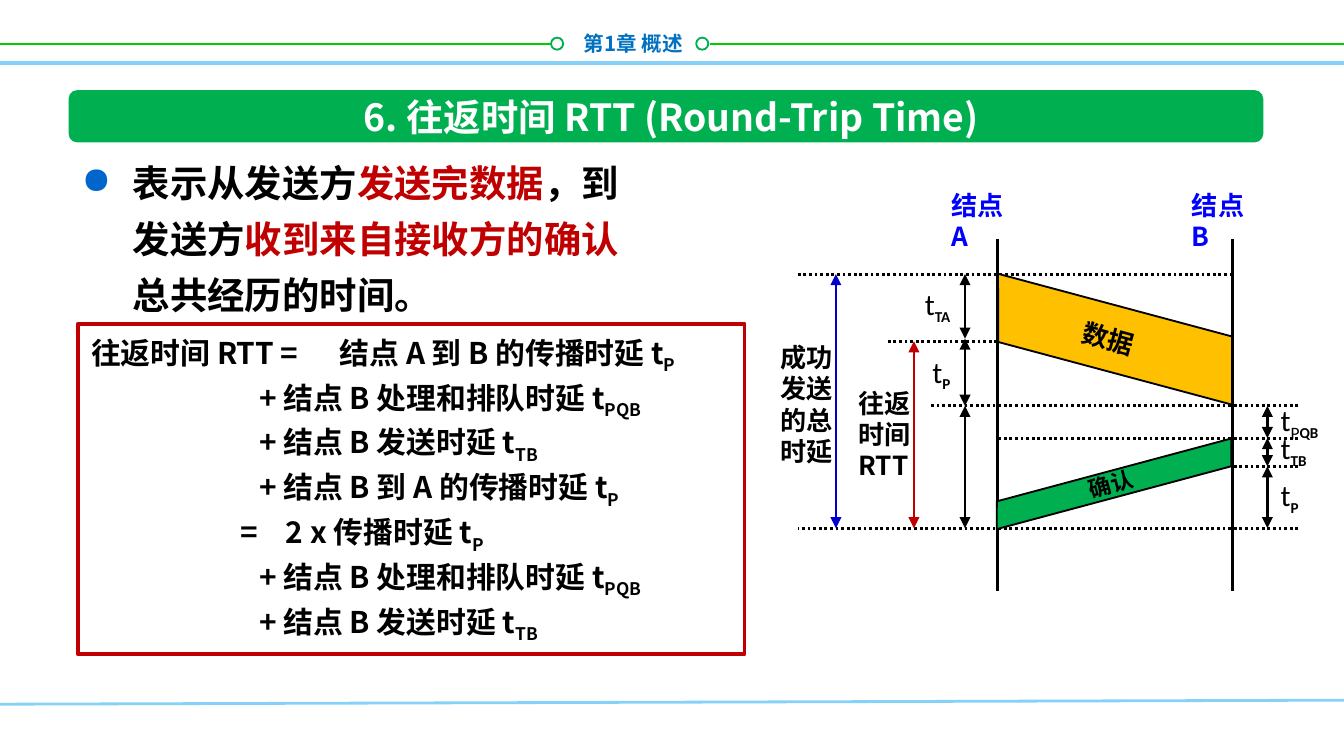
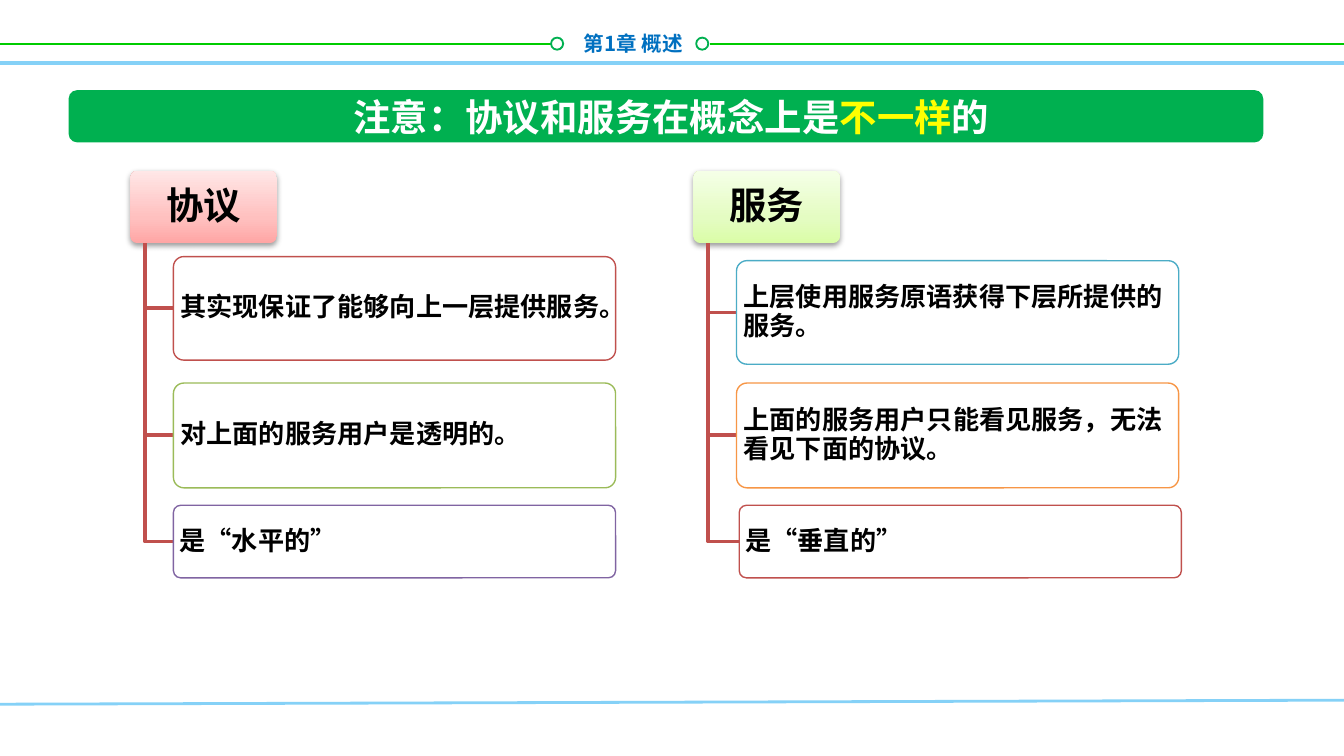
from copy import deepcopy
from typing import NamedTuple

from lxml.etree import SubElement
from pptx import Presentation
from pptx.dml.color import RGBColor
from pptx.enum.dml import MSO_LINE
from pptx.enum.shapes import MSO_CONNECTOR as Link, MSO_SHAPE as Preset
from pptx.enum.text import MSO_ANCHOR as Anchor, PP_ALIGN as Align
from pptx.oxml.ns import qn
from pptx.util import Inches, Pt

BLACK = RGBColor(0x00, 0x00, 0x00)
WHITE = RGBColor(0xFF, 0xFF, 0xFF)
GREEN = RGBColor(0x00, 0xB0, 0x50)
RULE_GREEN = RGBColor(0x00, 0xCC, 0x00)
RULE_BLUE = RGBColor(0x85, 0xD1, 0xF7)
CHAPTER_BLUE = RGBColor(0x00, 0x70, 0xC0)
BULLET_BLUE = RGBColor(0x00, 0x66, 0xCC)
NODE_BLUE = RGBColor(0x00, 0x00, 0xFF)
TOTAL_BLUE = RGBColor(0x00, 0x00, 0xCC)
RED = RGBColor(0xC0, 0x00, 0x00)
YELLOW = RGBColor(0xFF, 0xFF, 0x00)
AMBER = RGBColor(0xFF, 0xC0, 0x00)
BRICK = RGBColor(0xC0, 0x50, 0x4D)
OLIVE = RGBColor(0x9B, 0xBB, 0x59)
PURPLE = RGBColor(0x80, 0x64, 0xA2)
TEAL = RGBColor(0x4B, 0xAC, 0xC6)
ORANGE = RGBColor(0xF7, 0x96, 0x46)
PINKS = (RGBColor(0xFF, 0xA6, 0xA5), RGBColor(0xFF, 0xC0, 0xBF), RGBColor(0xFF, 0xE7, 0xE7))
LIMES = (RGBColor(0xDA, 0xFD, 0xA7), RGBColor(0xE4, 0xFC, 0xC2), RGBColor(0xF5, 0xFF, 0xE7))

SANS = "Noto Sans CJK SC"
CELL = Inches(0.1)  # the grid has 100 columns and 56.25 rows


class Run(NamedTuple):
    text: str
    size: float = 14
    color: RGBColor = BLACK
    bold: bool = True
    font: str = SANS
    lowered: bool = False


def cells(*counts):
    return [round(count * CELL) for count in counts]


class Deck:
    def __init__(self):
        self.presentation = Presentation()
        self.presentation.slide_width = 100 * CELL
        self.presentation.slide_height = 100 * CELL * 9 // 16

    def new_slide(self, title):
        self.slide = self.presentation.slides.add_slide(self.presentation.slide_layouts[6])
        self.line((0, 3.3), (41, 3.3), RULE_GREEN, 1)
        self.line((52.8, 3.3), (100, 3.3), RULE_GREEN, 1)
        self.text((38.4, 1.8, 13.4, 2.8), [[Run("第1章 概述", 11, CHAPTER_BLUE)]], align=Align.RIGHT)
        for column in (41, 51.8):
            self.shape(Preset.OVAL, (column, 2.8, 0.9, 0.9), WHITE, GREEN, 1)
        self.line((0, 52.4), (100, 52.1), RULE_BLUE, 1.5)
        self.line((0, 4.7), (100, 4.7), RULE_BLUE, 2)
        self.shape(Preset.ROUNDED_RECTANGLE, (5.1, 6.7, 88.9, 3.9), GREEN, adjust=0.17)
        self.text((13.7, 6.7, 72.5, 3.9), [title], align=Align.CENTER, anchor=Anchor.MIDDLE)

    def line(self, start, end, color=BLACK, width=1.5, dotted=False, arrows=False):
        connector = self.slide.shapes.add_connector(Link.STRAIGHT, *cells(*start, *end))
        connector.line.color.rgb = color
        connector.line.width = Pt(width)
        if dotted:
            connector.line.dash_style = MSO_LINE.ROUND_DOT
        if arrows:
            outline = connector.element.spPr.find(qn("a:ln"))
            for tip in ("a:headEnd", "a:tailEnd"):
                SubElement(outline, qn(tip), type="triangle")
        SubElement(connector.element.spPr, qn("a:effectLst"))

    def shape(self, preset, box, fill, line=None, width=1, adjust=None, alpha=None):
        shape = self.slide.shapes.add_shape(preset, *cells(*box))
        shape.shadow.inherit = False
        shape.fill.solid()
        shape.fill.fore_color.rgb = fill
        if alpha is not None:
            color = shape.element.spPr.find(".//" + qn("a:srgbClr"))
            SubElement(color, qn("a:alpha"), val=str(alpha * 1000))
        if adjust is not None:
            shape.adjustments[0] = adjust
        if line is None:
            shape.line.fill.background()
        else:
            shape.line.color.rgb = line
            shape.line.width = Pt(width)
        return shape

    def parallelogram(self, box, fill, rotation, flips):
        shape = self.shape(Preset.PARALLELOGRAM, box, fill, BLACK, adjust=0.27)
        shape.rotation = rotation
        for flip in flips:
            shape.element.spPr.find(qn("a:xfrm")).set(flip, "1")

    def elbow(self, column, top, bottom, right):
        left, first, last, end = cells(column, top, bottom, right)
        builder = self.slide.shapes.build_freeform(left, first)
        builder.add_line_segments([(left, last), (end, last)], close=False)
        shape = builder.convert_to_shape()
        shape.shadow.inherit = False
        shape.fill.background()
        shape.line.color.rgb = BRICK
        shape.line.width = Pt(2)

    def raised_tile(self, box, colors):
        """A rounded tile with a vertical gradient and a soft shadow below."""
        shape = self.shape(Preset.ROUNDED_RECTANGLE, box, colors[0], adjust=0.1)
        shape.fill.gradient()
        shape.fill.gradient_angle = 90
        stops = shape.element.spPr.find(".//" + qn("a:gsLst"))
        stops.insert(1, deepcopy(stops[0]))
        for stop, color, position in zip(shape.fill.gradient_stops, colors, (0, 0.35, 1)):
            stop.color.rgb = color
            stop.position = position
        effects = shape.element.spPr.find(qn("a:effectLst"))
        shadow = SubElement(effects, qn("a:outerShdw"), blurRad=str(int(Pt(3.1))),
                            dist=str(int(Pt(1.6))), dir="5400000", rotWithShape="0")
        color = SubElement(shadow, qn("a:srgbClr"), val=str(BLACK))
        SubElement(color, qn("a:alpha"), val="38000")
        return shape

    def text(self, box, paragraphs, wrap=True, rotation=0, **layout):
        shape = self.slide.shapes.add_textbox(*cells(*box))
        shape.rotation = rotation
        return self.fill_text(shape, paragraphs, wrap, **layout)

    def fill_text(self, shape, paragraphs, wrap=True, align=Align.LEFT, anchor=Anchor.TOP,
                  spacing=None, insets=(1, 0.5)):
        frame = shape.text_frame
        frame.word_wrap = wrap
        frame.vertical_anchor = anchor
        frame.margin_left = frame.margin_right = cells(insets[0])[0]
        frame.margin_top = frame.margin_bottom = cells(insets[1])[0]
        for index, runs in enumerate(paragraphs):
            paragraph = frame.add_paragraph() if index else frame.paragraphs[0]
            paragraph.alignment = align
            if spacing is not None:
                paragraph.line_spacing = spacing
            for run in runs:
                self.add_run(paragraph, run)
        return frame

    def add_run(self, paragraph, style):
        run = paragraph.add_run()
        run.text = style.text
        run.font.size = Pt(style.size)
        run.font.bold = style.bold
        run.font.color.rgb = style.color
        run.font.name = style.font
        properties = run._r.get_or_add_rPr()
        SubElement(properties, qn("a:ea"), typeface=style.font)
        if style.lowered:
            properties.set("baseline", "-25000")

    def bullet(self, paragraph, indent):
        properties = paragraph._p.get_or_add_pPr()
        width = cells(indent)[0]
        properties.set("marL", str(width))
        properties.set("indent", str(-width))
        color = SubElement(properties, qn("a:buClr"))
        SubElement(color, qn("a:srgbClr"), val=str(BULLET_BLUE))
        SubElement(properties, qn("a:buChar"), char="●")

    def tab_stops(self, paragraph, columns):
        stops = SubElement(paragraph._p.get_or_add_pPr(), qn("a:tabLst"))
        for position in cells(*columns):
            SubElement(stops, qn("a:tab"), pos=str(position), algn="l")

    def delay_label(self, box, subscripts, align=Align.LEFT):
        self.text(box, [[Run("t", 16, bold=False, font="Calibri"), *subscripts]], align=align)


def subscript(text, size=14, bold=True):
    return Run(text, size, bold=bold, font="Calibri", lowered=True)


def round_trip_formula(deck):
    plus, equals = (12.5,), (11.1, 14.5)
    processing = (plus, "\t+ 结点 B 处理和排队时延 t", "PQB")
    sending = (plus, "\t+ 结点 B 发送时延 t", "TB")
    terms = [
        ((18.5,), "往返时间 RTT =\t结点 A 到 B 的传播时延 t", "P"),
        processing,
        sending,
        (plus, "\t+ 结点 B 到 A 的传播时延 t", "P"),
        (equals, "\t=\t2 x 传播时延 t", "P"),
        processing,
        sending,
    ]
    frame = deck.fill_text(
        deck.shape(Preset.RECTANGLE, (5.8, 24.1, 49.6, 24.6), WHITE, RED, 2),
        [[Run(text, 16), Run(index, 16, lowered=True)] for _, text, index in terms],
        spacing=Pt(24))
    for paragraph, (stops, _, _) in zip(frame.paragraphs, terms):
        deck.tab_stops(paragraph, stops)


def timing_diagram(deck):
    node_a, node_b = 74.2, 91.7
    sent, sent_end, arrived, reply, reply_end, done = 20.4, 25.4, 30.2, 32.6, 34.7, 39.3
    for row, left, right in (
            (arrived, 69.3, 96.6), (reply, node_a, 96.6), (done, 59.4, 96.6),
            (reply_end, node_b, 96.6), (sent, 59.4, node_b), (sent_end, 65.9, node_a)):
        deck.line((right, row), (left, row), dotted=True)
    for name, column in (("结点 A", 69.8), ("结点 B", 87.7)):
        deck.text((column, 13.6, 7, 3.4), [[Run(name, color=NODE_BLUE)]])

    deck.parallelogram((73.3, 22.8, 19.4, 4.9), AMBER, 15, ["flipV"])
    for column in (node_a, node_b):
        deck.line((column, 17.8), (column, 44))
    deck.parallelogram((73.6, 35, 18.6, 2), GREEN, 345, ["flipH", "flipV"])
    deck.text((79.5, 23.5, 5.9, 3.4), [[Run("数据")]], wrap=False, rotation=15.2)
    deck.text((80, 34.5, 5.4, 3), [[Run("确认", 12)]], wrap=False, rotation=344)

    for column, top, bottom, color in (
            (71.8, sent, 25.2, BLACK), (71.8, 25.2, arrived, BLACK), (71.8, arrived, done, BLACK),
            (68, sent_end, done, RED), (62.2, sent, done, TOTAL_BLUE),
            (94.3, arrived, reply, BLACK), (94.3, reply, reply_end, BLACK),
            (94.3, reply_end, done, BLACK)):
        deck.line((column, top), (column, bottom), color, arrows=True)

    deck.delay_label((66.7, 20.8, 5, 3.7), [subscript("TA")], Align.RIGHT)
    deck.delay_label((66.7, 25.8, 5, 3.7), [subscript("P")], Align.RIGHT)
    deck.delay_label((94.3, 35, 5, 3.7), [subscript("P")])
    deck.delay_label((94.3, 29.4, 7.1, 3.7), [subscript("P", 16, False), subscript("QB")])
    deck.delay_label((94.3, 31.5, 5, 3.7), [subscript("TB")])
    deck.text((62.9, 28.3, 5.9, 8.1), [[Run(word)] for word in ("往返", "时间", "RTT")], wrap=False)
    deck.text((57.1, 24.9, 6.1, 10.4), [[Run("成功发送的总时延")]])


def concept_tree(deck, left, name, colors, cards):
    """A heading tile with cards hanging from it; a card is (text, top, height, shift, colour)."""
    top, height = 12.7, 5.4
    tile = deck.raised_tile((left, top, 10.9, height), colors)
    deck.fill_text(tile, [[Run(name, 20)]], align=Align.CENTER, anchor=Anchor.MIDDLE,
                   spacing=0.9, insets=(0.4, 0.3))
    for text, card_top, card_height, shift, color in cards:
        card_left = left + 3.2 + shift
        deck.elbow(left + 1.1, top + height, card_top + card_height / 2, card_left)
        card = deck.shape(Preset.ROUNDED_RECTANGLE, (card_left, card_top, 32.9, card_height),
                          WHITE, color, 0.75, adjust=0.1, alpha=90)
        deck.fill_text(card, [[Run(text)]], anchor=Anchor.MIDDLE, spacing=0.9, insets=(0.3, 0.2))


def main():
    deck = Deck()

    deck.new_slide([Run("6. 往返时间 RTT (Round-Trip Time)", 20, WHITE)])
    definition = deck.text((5.1, 10.6, 44.4, 34.7), [[
        Run("表示从发送方", 20), Run("发送完数据", 20, RED), Run("，到发送方", 20),
        Run("收到来自接收方的确认", 20, RED), Run("总共经历的时间。", 20)]], spacing=Pt(30))
    deck.bullet(definition.paragraphs[0], 3.8)
    round_trip_formula(deck)
    timing_diagram(deck)

    deck.new_slide([Run("注意：协议和服务在概念上是", 20, WHITE), Run("不一样", 20, YELLOW),
                    Run("的", 20, WHITE)])
    concept_tree(deck, 9.7, "协议", PINKS, [
        ("其实现保证了能够向上一层提供服务。", 19.1, 7.7, 0, BRICK),
        ("对上面的服务用户是透明的。", 28.5, 7.8, 0, OLIVE),
        ("是“水平的”", 37.6, 5.4, 0, PURPLE)])
    concept_tree(deck, 51.6, "服务", LIMES, [
        ("上层使用服务原语获得下层所提供的服务。", 19.4, 7.7, 0, TEAL),
        ("上面的服务用户只能看见服务，无法看见下面的协议。", 28.5, 7.8, 0, ORANGE),
        ("是“垂直的”", 37.6, 5.4, 0.2, BRICK)])

    deck.presentation.save("out.pptx")


if __name__ == "__main__":
    main()
